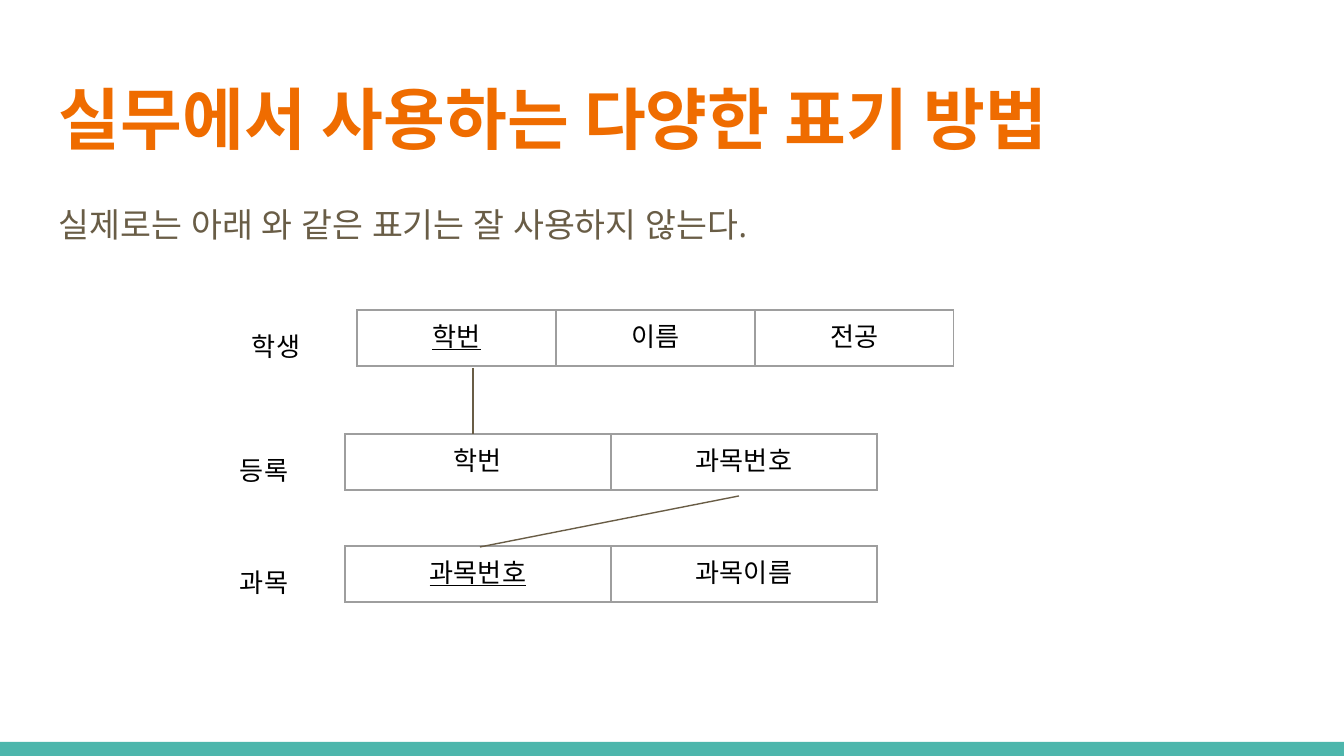
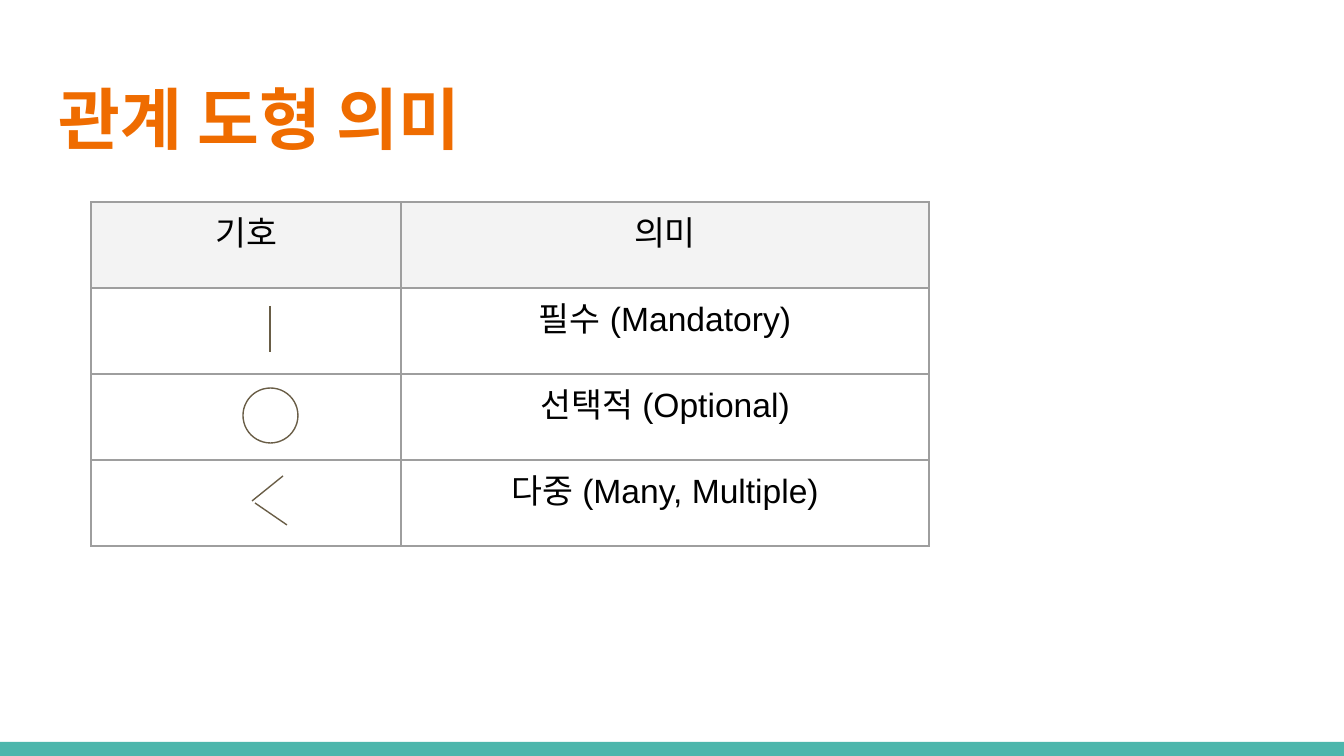
from lxml import etree
from pptx import Presentation
from pptx import util as u
from pptx.dml.color import RGBColor
from pptx.enum import shapes, text
from pptx.oxml import parse_xml
from pptx.oxml.ns import nsdecls, qn

WIDTH, HEIGHT = 1344, 756
BAND, TITLE, BODY, INK = "4DB6AC", "EF6C00", "695D46", "000000"
GRID, HEAD = "9E9E9E", "F3F3F3"
INSET = 13

NOTATION = "실무에서 사용하는 다양한 표기 방법"
LEAD = "실제로는 아래 와 같은 표기는 잘 사용하지 않는다."
# name, left, top, column width, fields, key field
RELATIONS = [
    ("학생", 357, 310, 199, ["학번", "이름", "전공"], "학번"),
    ("과목", 345, 546, 266, ["과목번호", "과목이름"], "과목번호"),
    ("등록", 345, 434, 266, ["학번", "과목번호"], None),
]
KEYS = [(473, 368, 473, 434), (739, 496, 480, 547)]

MEANING = "관계 도형 의미"
SYMBOLS = [
    ["기호", "의미"],
    ["", "필수 (Mandatory)"],
    ["", "선택적 (Optional)"],
    ["", "다중 (Many, Multiple)"],
]
BAR = (270, 306, 270, 352)
RING = (243, 388, 55, 55)
FORK = [(283, 476, 252, 501), (287, 525, 255, 503)]


def px(n):
    return u.Emu(round(n * 914400 * 10 / WIDTH))


def rgb(code):
    return RGBColor.from_string(code)


def write(frame, words, size=14, font="Arial", color=INK, bold=False,
          under=False, align=text.PP_ALIGN.LEFT):
    """Fill a text frame with one formatted paragraph and return it."""
    par = frame.paragraphs[0]
    par.alignment = align
    if not words:
        return par
    run = par.add_run()
    run.text = words
    run.font.size = u.Pt(size)
    run.font.bold, run.font.underline = bold, under
    run.font.color.rgb = rgb(color)
    run.font.name = font
    props = run._r.get_or_add_rPr()
    etree.SubElement(props, qn("a:ea")).set("typeface", font)
    return par


def setup(frame, anchor=text.MSO_ANCHOR.TOP):
    frame.word_wrap = True
    frame.auto_size = text.MSO_AUTO_SIZE.NONE
    frame.vertical_anchor = anchor
    frame.margin_left = frame.margin_right = px(INSET)
    frame.margin_top = frame.margin_bottom = px(INSET)


def place(shape, left, top, width, height):
    shape.left, shape.top = px(left), px(top)
    shape.width, shape.height = px(width), px(height)


def add_page(prs, layout, title):
    slide = prs.slides.add_slide(prs.slide_layouts[layout])
    head = slide.shapes.title
    place(head, 46, 66, 1252, 103)
    setup(head.text_frame, text.MSO_ANCHOR.MIDDLE)
    write(head.text_frame, title, size=36, font="Arial Narrow",
          color=TITLE, bold=True)
    return slide


def add_band(prs, slide):
    """Draw the bottom band and hand it over to the slide master."""
    band = slide.shapes.add_shape(shapes.MSO_SHAPE.RECTANGLE,
                                  0, px(742), px(WIDTH), px(14))
    band.shadow.inherit = False
    band.fill.solid()
    band.fill.fore_color.rgb = rgb(BAND)
    band.line.fill.background()
    prs.slide_master.shapes.element.insert(2, band.element)


def add_line(slide, ends):
    line = slide.shapes.add_connector(shapes.MSO_CONNECTOR.STRAIGHT,
                                      *map(px, ends))
    line.line.color.rgb = rgb(BODY)
    line.line.width = u.Pt(0.75)
    etree.SubElement(line.element.spPr, qn("a:effectLst"))


def add_border(cell):
    props = cell._tc.get_or_add_tcPr()
    for side in ("lnL", "lnR", "lnT", "lnB"):
        props.append(parse_xml(
            f'<a:{side} {nsdecls("a")} w="{u.Pt(0.75)}"><a:solidFill>'
            f'<a:srgbClr val="{GRID}"/></a:solidFill></a:{side}>'))


def add_grid(slide, left, top, widths, height, rows, size,
             key=None, head=None):
    frame = slide.shapes.add_table(
        len(rows), len(widths), px(left), px(top),
        px(sum(widths)), px(height * len(rows)))
    table = frame.table
    table.first_row = table.horz_banding = False
    for col, width in zip(table.columns, widths):
        col.width = px(width)
    for r, row in enumerate(rows):
        table.rows[r].height = px(height)
        for c, words in enumerate(row):
            cell = table.cell(r, c)
            cell.margin_left = cell.margin_right = px(INSET)
            cell.margin_top = cell.margin_bottom = px(INSET)
            add_border(cell)
            if head and r == 0:
                cell.fill.solid()
                cell.fill.fore_color.rgb = rgb(head)
            else:
                cell.fill.background()
            write(cell.text_frame, words, size=size,
                  under=key is not None and words == key,
                  align=text.PP_ALIGN.CENTER)


def add_lead(slide):
    body = slide.placeholders[1]
    place(body, 46, 185, 1252, 73)
    setup(body.text_frame)
    par = write(body.text_frame, LEAD, size=18, font="Open Sans", color=BODY)
    par.line_spacing = 1.15
    par.space_before, par.space_after = u.Pt(0), u.Pt(16)
    props = par._p.get_or_add_pPr()
    props.set("marL", "0")
    props.set("indent", "0")
    etree.SubElement(props, qn("a:buNone"))


def add_relation(slide, name, left, top, width, fields, key):
    add_grid(slide, left, top, [width] * len(fields), 56, [fields], 14, key)
    label = slide.shapes.add_textbox(px(left - 118), px(top + 7),
                                     px(91), px(58))
    setup(label.text_frame)
    write(label.text_frame, name, font="Open Sans")


def main():
    prs = Presentation()
    prs.slide_width, prs.slide_height = px(WIDTH), px(HEIGHT)

    slide = add_page(prs, 1, NOTATION)
    add_band(prs, slide)
    add_lead(slide)
    for item in RELATIONS:
        add_relation(slide, *item)
    for ends in KEYS:
        add_line(slide, ends)

    slide = add_page(prs, 5, MEANING)
    add_grid(slide, 91, 202, [310, 528], 86, SYMBOLS, 18, head=HEAD)
    ring = slide.shapes.add_shape(shapes.MSO_SHAPE.OVAL, *map(px, RING))
    ring.shadow.inherit = False
    ring.fill.background()
    ring.line.color.rgb = rgb(BODY)
    ring.line.width = u.Pt(0.75)
    for ends in [BAR, *FORK]:
        add_line(slide, ends)

    prs.save("out.pptx")


if __name__ == "__main__":
    main()
